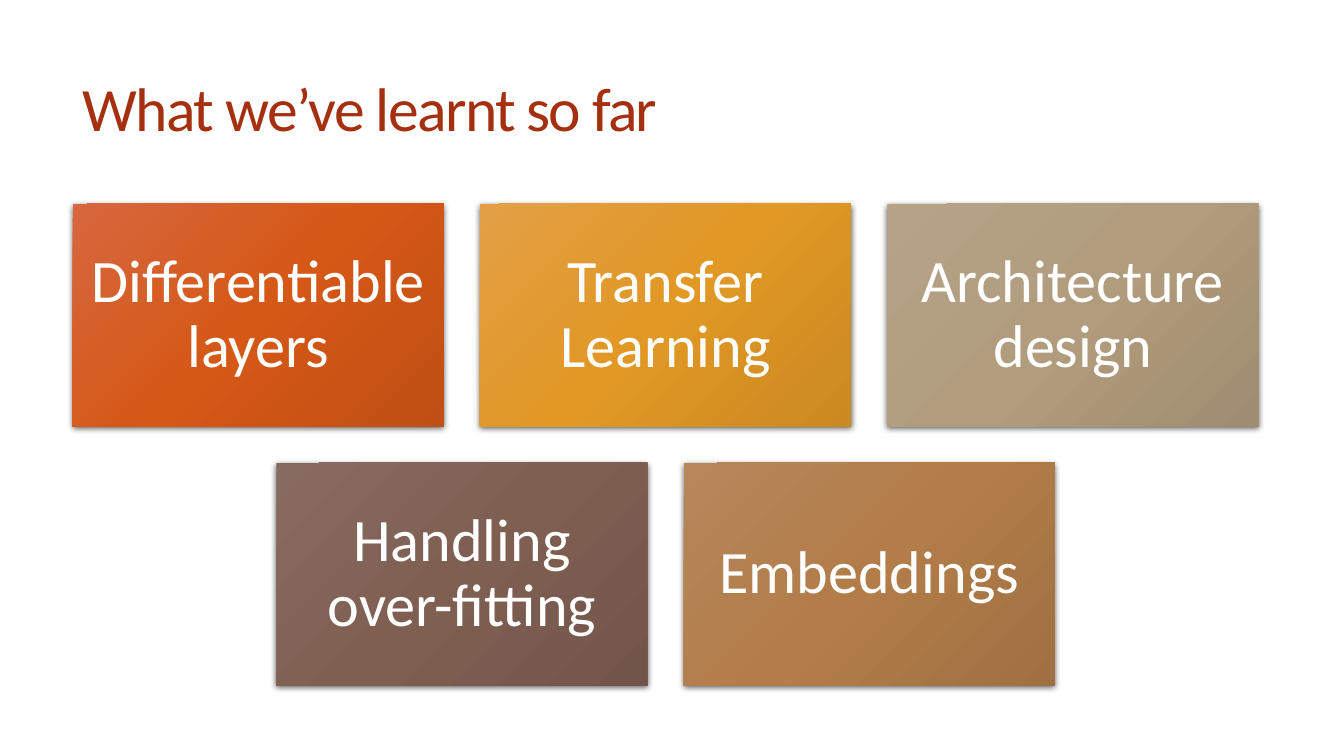
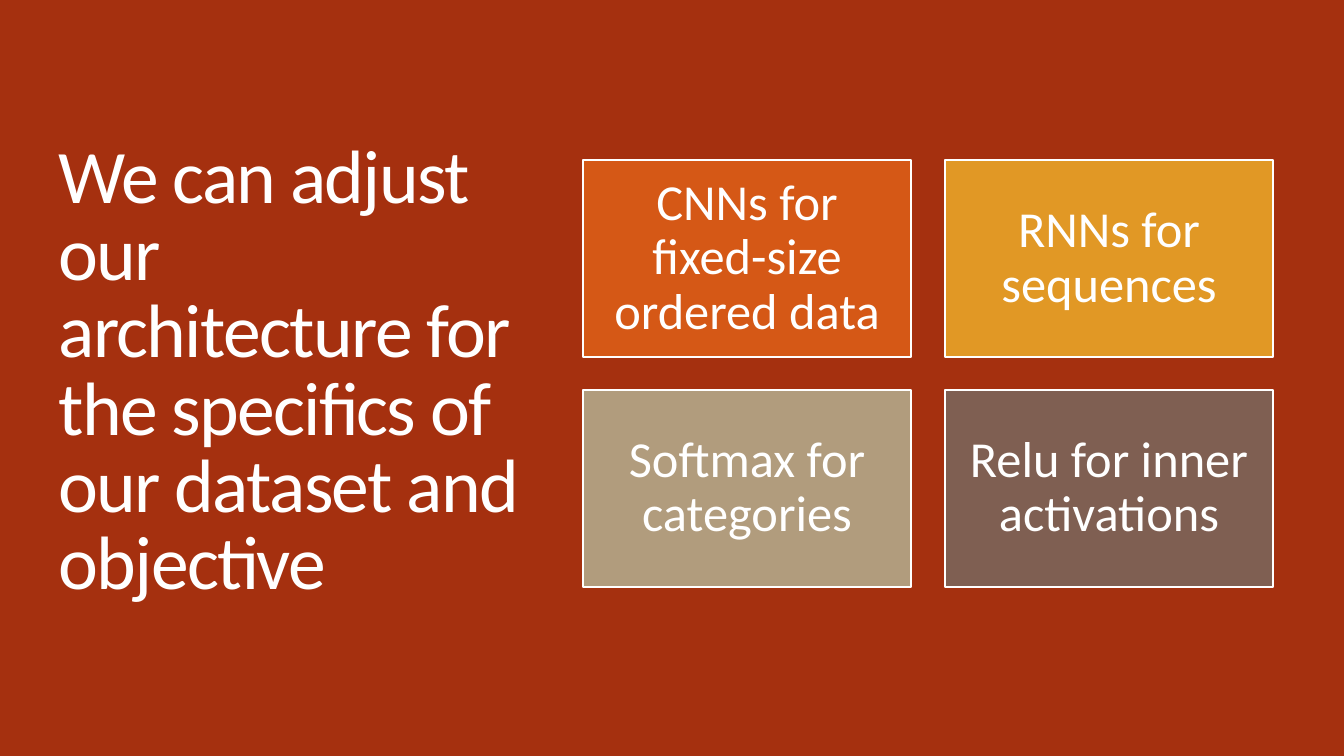
import lxml.etree
import pptx
import pptx.dml.color
import pptx.enum.shapes
import pptx.enum.text
import pptx.oxml.ns
import pptx.util

PX = 9144  # 100 px to the inch
FONT = "Calibri"
COLORS = {
    "white": "FFFFFF", "rust": "A5300F", "black": "000000",
    "orange": "D55816", "amber": "E19825", "sand": "B19C7D",
    "cocoa": "7F5F52", "bronze": "B27D49",
}
# Lighter and darker ends of each gradient
SHADES = {
    "orange": ("D7673F", "BF4F14"), "amber": ("E39F45", "CA8921"),
    "sand": ("B6A387", "A08C70"), "cocoa": ("886B60", "72554A"),
    "bronze": ("B7865B", "A07042"),
}

SLIDES = [
    {
        "background": "white",
        "title": "What we’ve learnt so far",
        "title_box": (72, 55, 1178, 114), "title_size": 44, "title_color": "rust",
        "rows": [
            [("Differentiable layers", "orange"), ("Transfer Learning", "amber"),
             ("Architecture design", "sand")],
            [("Handling over-fitting", "cocoa"), ("Embeddings", "bronze")],
        ],
        "grid": (72, 202), "card": (368, 221), "gap": 36,
        "size": 43, "inset": 18, "raised": True,
    },
    {
        "background": "rust",
        "title": "We can adjust our architecture for the specifics of our dataset and objective",
        "title_box": (48, 70, 484, 601), "title_size": 54, "title_color": "white",
        "rows": [
            [("CNNs for fixed-size ordered data", "orange"), ("RNNs for sequences", "amber")],
            [("Softmax for categories", "sand"), ("Relu for inner activations", "cocoa")],
        ],
        "grid": (578, 159), "card": (326, 195), "gap": 33,
        "size": 36, "inset": 15, "raised": False,
    },
]


def px(length):
    return pptx.util.Emu(round(length * PX))


def rgb(name):
    return pptx.dml.color.RGBColor.from_string(COLORS[name])


def add_element(parent, tag, **attributes):
    element = lxml.etree.SubElement(parent, pptx.oxml.ns.qn(tag))
    for key, value in attributes.items():
        element.set(key, str(value))
    return element


def write_text(shape, text, size, color="white", align="CENTER", spacing=0.9,
               tracking=0, inset=None):
    frame = shape.text_frame
    frame.word_wrap = True
    frame.auto_size = pptx.enum.text.MSO_AUTO_SIZE.NONE
    frame.vertical_anchor = pptx.enum.text.MSO_ANCHOR.MIDDLE
    if inset is not None:
        frame.margin_left = frame.margin_right = px(inset)
        frame.margin_top = frame.margin_bottom = px(inset)
    paragraph = frame.paragraphs[0]
    paragraph.alignment = getattr(pptx.enum.text.PP_ALIGN, align)
    paragraph.line_spacing = spacing
    run = paragraph.add_run()
    run.text = text
    run.font.name = FONT
    run.font.size = pptx.util.Pt(size)
    run.font.color.rgb = rgb(color)
    if tracking:
        run._r.get_or_add_rPr().set("spc", str(round(tracking * 100)))


def fill_gradient(shape, color):
    shape.fill.gradient()
    shape.fill.gradient_angle = 315
    stops = shape._element.spPr.find(".//" + pptx.oxml.ns.qn("a:gsLst"))
    for stop in list(stops):
        stops.remove(stop)
    light, dark = SHADES[color]
    for position, value in ((0, light), (50, COLORS[color]), (100, dark)):
        stop = add_element(stops, "a:gs", pos=position * 1000)
        add_element(stop, "a:srgbClr", val=value)


def add_shadow(shape):
    effects = shape._element.spPr.find(pptx.oxml.ns.qn("a:effectLst"))
    shadow = add_element(effects, "a:outerShdw", blurRad=pptx.util.Pt(4.5),
                         dist=pptx.util.Pt(1.5), dir=90 * 60000, algn="ctr", rotWithShape=0)
    color = add_element(shadow, "a:srgbClr", val=COLORS["black"])
    add_element(color, "a:alpha", val=63000)


def add_card(slide, box, text, color, content):
    card = slide.shapes.add_shape(pptx.enum.shapes.MSO_SHAPE.RECTANGLE, *map(px, box))
    card.shadow.inherit = False
    if content["raised"]:
        fill_gradient(card, color)
        card.line.fill.background()
        add_shadow(card)
    else:
        card.fill.solid()
        card.fill.fore_color.rgb = rgb(color)
        card.line.color.rgb = rgb("white")
        card.line.width = pptx.util.Pt(1.5)
    write_text(card, text, content["size"], inset=content["inset"])


def add_cards(slide, content):
    left, top = content["grid"]
    width, height = content["card"]
    gap = content["gap"]
    columns = max(len(row) for row in content["rows"])
    for row_index, row in enumerate(content["rows"]):
        # Centre shorter rows under the widest one
        row_left = left + (columns - len(row)) * (width + gap) / 2
        for column, (text, color) in enumerate(row):
            box = (row_left + column * (width + gap), top + row_index * (height + gap),
                   width, height)
            add_card(slide, box, text, color, content)


def add_slide(presentation, content):
    slide = presentation.slides.add_slide(presentation.slide_layouts.get_by_name("Title Only"))
    slide.background.fill.solid()
    slide.background.fill.fore_color.rgb = rgb(content["background"])
    title = slide.shapes.title
    title.left, title.top, title.width, title.height = map(px, content["title_box"])
    write_text(title, content["title"], content["title_size"], color=content["title_color"],
               align="LEFT", spacing=0.85, tracking=-1.2)
    add_cards(slide, content)


def main():
    presentation = pptx.Presentation()
    presentation.slide_width, presentation.slide_height = px(1333), px(750)
    for content in SLIDES:
        add_slide(presentation, content)
    presentation.save("out.pptx")


if __name__ == "__main__":
    main()
